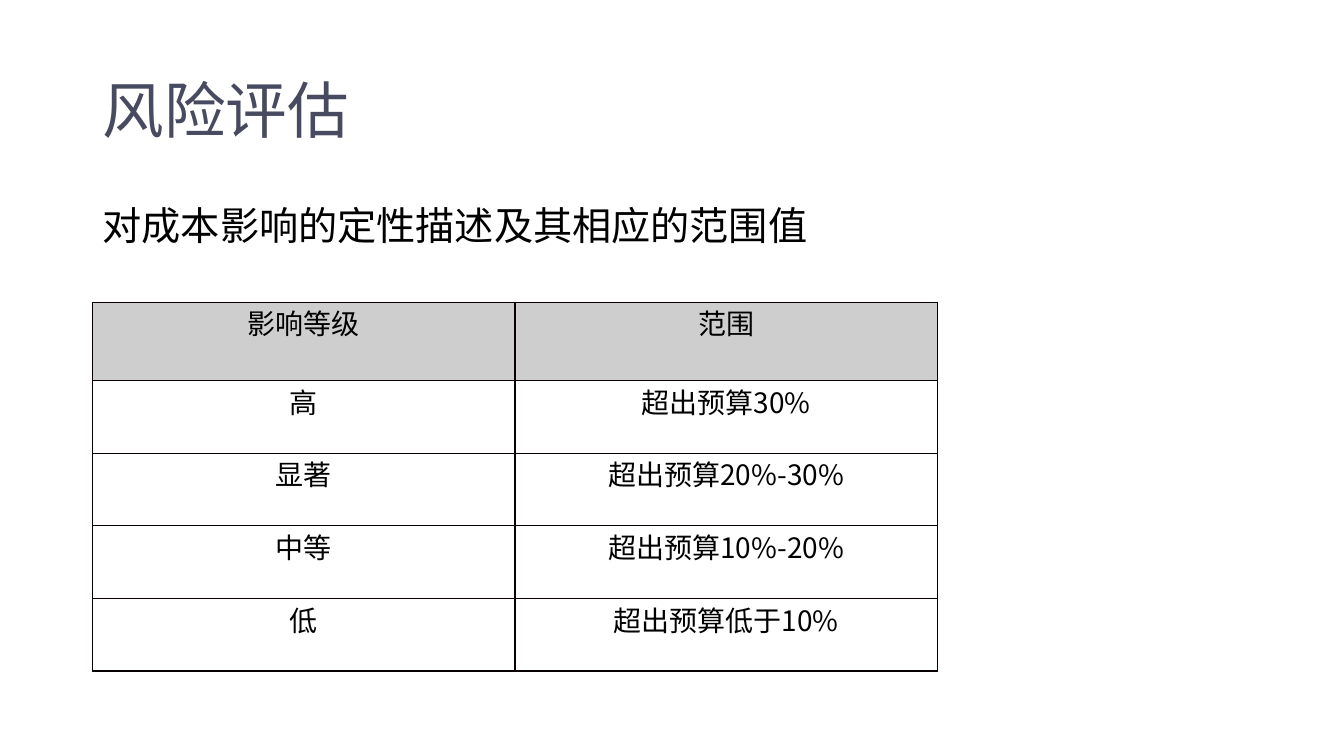
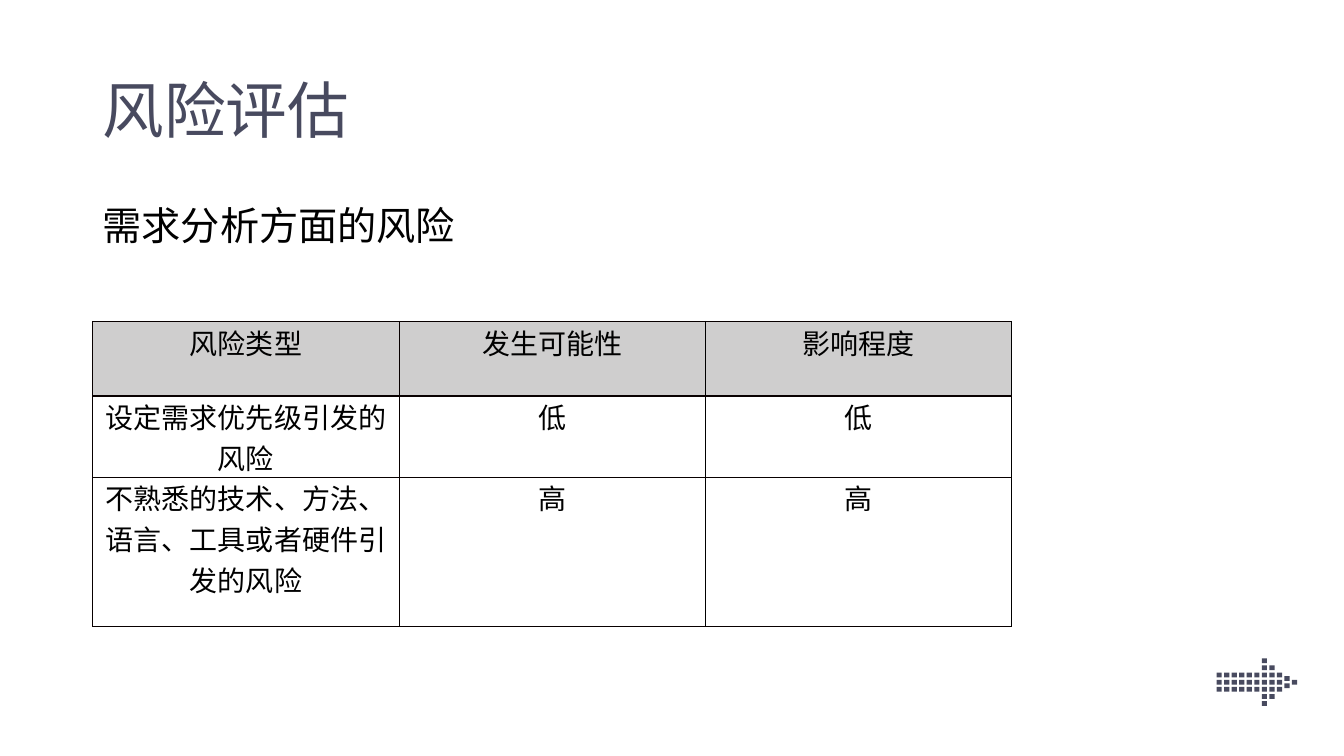
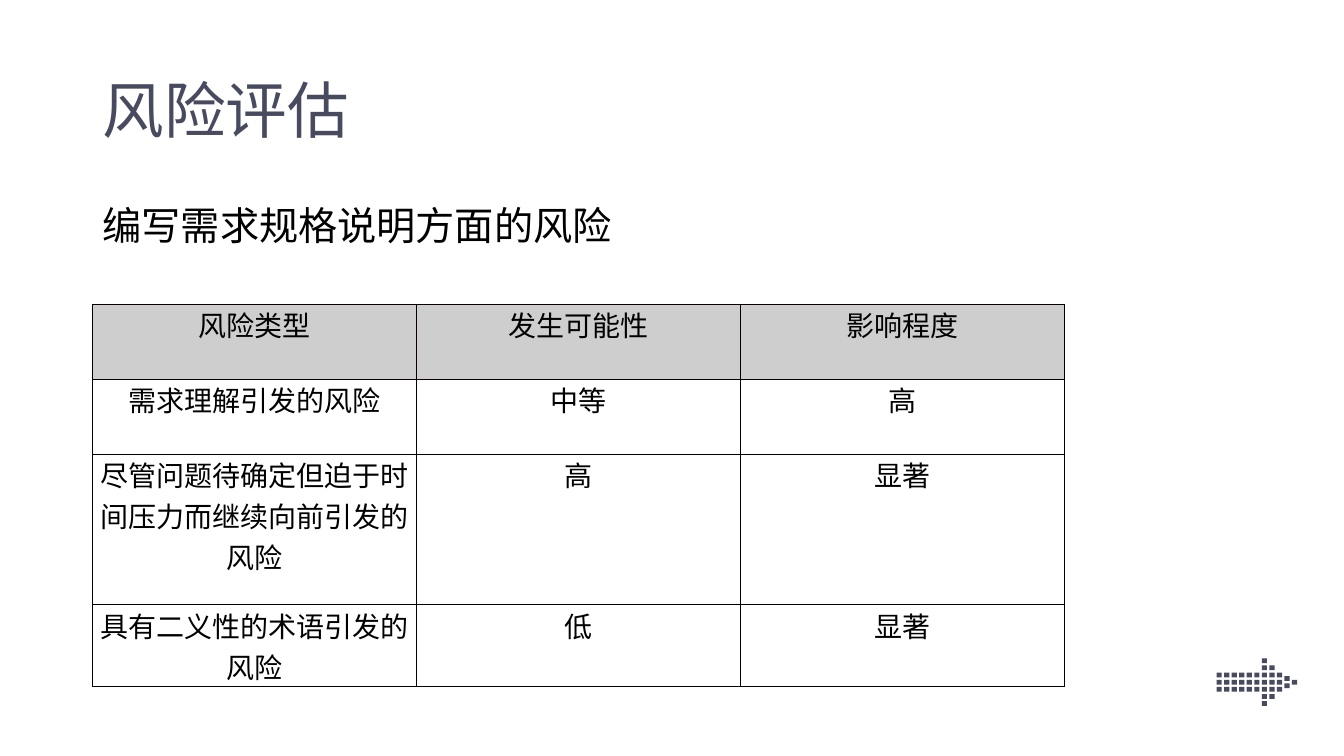
"""Build three risk assessment slides, each with a title, a subtitle and a table."""
from dataclasses import dataclass

from lxml import etree
from pptx import Presentation
from pptx.dml.color import RGBColor
from pptx.enum.text import MSO_ANCHOR, PP_ALIGN
from pptx.oxml.ns import qn
from pptx.slide import Slide
from pptx.table import _Cell
from pptx.text.text import _Paragraph
from pptx.util import Cm, Length, Pt

CENTER = PP_ALIGN.CENTER
TOP = MSO_ANCHOR.TOP
MIDDLE = MSO_ANCHOR.MIDDLE

SLATE = RGBColor(0x48, 0x4A, 0x5F)
BLACK = RGBColor(0x00, 0x00, 0x00)
BORDER = RGBColor(0x08, 0x00, 0x00)
HEADER_GRAY = RGBColor(0xCF, 0xCE, 0xCE)

HEADING_FONT = "Arial"
TABLE_FONT = "Noto Sans CJK SC"
LEFT = Cm(2.34)
TEXT_WIDTH = Cm(29.21)
TWO_LINE_HEIGHT = 2.05
TITLE = "风险评估"
RISK_HEADER = ("风险类型", "发生可能性", "影响程度")

ARROW_LEFT, ARROW_TOP = 30.66, 16.59
DOT_PITCH_X, DOT_PITCH_Y = 0.19, 0.18
DOT_WIDTH, DOT_HEIGHT = 0.13, 0.12
ARROW_ROWS = (
    (0, (6,)),
    (1, (6, 7)),
    (2, range(9)),
    (2.5, (9,)),
    (3, (*range(9), 10)),
    (3.5, (9,)),
    (4, range(9)),
    (5, (6, 7)),
    (6, (6,)),
)


@dataclass(frozen=True)
class RiskSlide:
    subtitle: str
    table_top: Length
    column_width: Length
    row_heights: tuple[float, ...]
    rows: tuple[tuple[str, ...], ...]
    has_arrow: bool = True


RISK_SLIDES = (
    RiskSlide(
        "对成本影响的定性描述及其相应的范围值",
        Cm(7.62),
        Cm(10.64),
        (1.97, 1.83, 1.83, 1.83, 1.83),
        (
            ("影响等级", "范围"),
            ("高", "超出预算30%"),
            ("显著", "超出预算20%-30%"),
            ("中等", "超出预算10%-20%"),
            ("低", "超出预算低于10%"),
        ),
        has_arrow=False,
    ),
    RiskSlide(
        "需求分析方面的风险",
        Cm(8.1),
        Cm(7.72),
        (1.88, TWO_LINE_HEIGHT, 3.75),
        (
            RISK_HEADER,
            ("设定需求优先级引发的风险", "低", "低"),
            ("不熟悉的技术、方法、语言、工具或者硬件引发的风险", "高", "高"),
        ),
    ),
    RiskSlide(
        "编写需求规格说明方面的风险",
        Cm(7.67),
        Cm(8.16),
        (1.89, 1.89, 3.79, TWO_LINE_HEIGHT),
        (
            RISK_HEADER,
            ("需求理解引发的风险", "中等", "高"),
            ("尽管问题待确定但迫于时间压力而继续向前引发的风险", "高", "显著"),
            ("具有二义性的术语引发的风险", "低", "显著"),
        ),
    ),
)


def set_font(paragraph: _Paragraph, name: str, size: int, color: RGBColor) -> None:
    font = paragraph.font
    font.name = name
    font.size = Pt(size)
    font.color.rgb = color
    properties = paragraph._p.pPr.find(qn("a:defRPr"))
    etree.SubElement(properties, qn("a:ea"), typeface=TABLE_FONT)


def add_heading(slide: Slide, text: str, top: Length, height: Length,
                size: int, color: RGBColor, anchor: MSO_ANCHOR) -> None:
    frame = slide.shapes.add_textbox(LEFT, top, TEXT_WIDTH, height).text_frame
    frame.word_wrap = True
    frame.vertical_anchor = anchor
    paragraph = frame.paragraphs[0]
    paragraph.text = text
    paragraph.line_spacing = 0.9
    set_font(paragraph, HEADING_FONT, size, color)


def set_border(cell: _Cell, side: str, width: float, color: RGBColor) -> None:
    properties = cell._tc.get_or_add_tcPr()
    line = etree.SubElement(properties, qn(f"a:ln{side}"), w=str(Pt(width)))
    fill = etree.SubElement(line, qn("a:solidFill"))
    etree.SubElement(fill, qn("a:srgbClr"), val=str(color))


def fill_cell(cell: _Cell, text: str, column: int, is_header: bool) -> None:
    cell.margin_left = cell.margin_right = cell.margin_top = cell.margin_bottom = 0
    paragraph = cell.text_frame.paragraphs[0]
    paragraph.text = text
    paragraph.alignment = CENTER
    set_font(paragraph, TABLE_FONT, 20, BLACK)
    for side, edge in (("L", column), ("R", column + 1)):
        if edge > 1:
            set_border(cell, side, 0.75, BLACK)
        else:
            set_border(cell, side, 1, BORDER)
    for side in "TB":
        set_border(cell, side, 1, BORDER)
    if is_header:
        cell.fill.solid()
        cell.fill.fore_color.rgb = HEADER_GRAY
    else:
        cell.fill.background()


def add_risk_table(slide: Slide, content: RiskSlide) -> None:
    column_count = len(content.rows[0])
    table = slide.shapes.add_table(
        len(content.rows), column_count, LEFT, content.table_top,
        content.column_width * column_count, Cm(sum(content.row_heights)),
    ).table
    table.first_row = table.horz_banding = False
    for column in table.columns:
        column.width = content.column_width
    for row_index, (height, texts) in enumerate(zip(content.row_heights, content.rows)):
        table.rows[row_index].height = Cm(height)
        for column_index, text in enumerate(texts):
            cell = table.cell(row_index, column_index)
            fill_cell(cell, text, column_index, row_index == 0)


def add_dotted_arrow(slide: Slide) -> None:
    corners = [
        (ARROW_LEFT + column * DOT_PITCH_X, ARROW_TOP + row * DOT_PITCH_Y)
        for row, columns in ARROW_ROWS
        for column in columns
    ]
    first_left, first_top = corners[0]
    builder = slide.shapes.build_freeform(Cm(first_left), Cm(first_top))
    for index, (left, top) in enumerate(corners):
        if index:
            builder.move_to(Cm(left), Cm(top))
        right, bottom = Cm(left + DOT_WIDTH), Cm(top + DOT_HEIGHT)
        builder.add_line_segments(
            [(right, Cm(top)), (right, bottom), (Cm(left), bottom)], close=True
        )
    arrow = builder.convert_to_shape()
    arrow.shadow.inherit = False
    arrow.fill.solid()
    arrow.fill.fore_color.rgb = SLATE
    arrow.line.fill.background()


def main() -> None:
    presentation = Presentation()
    presentation.slide_width = Cm(33.87)
    presentation.slide_height = Cm(19.05)
    blank_layout = presentation.slide_layouts[6]
    for content in RISK_SLIDES:
        slide = presentation.slides.add_slide(blank_layout)
        add_heading(slide, TITLE, Cm(1.02), Cm(3.68), 44, SLATE, MIDDLE)
        add_heading(slide, content.subtitle, Cm(5.08), Cm(1.6), 28, BLACK, TOP)
        add_risk_table(slide, content)
        if content.has_arrow:
            add_dotted_arrow(slide)
    presentation.save("out.pptx")


if __name__ == "__main__":
    main()
